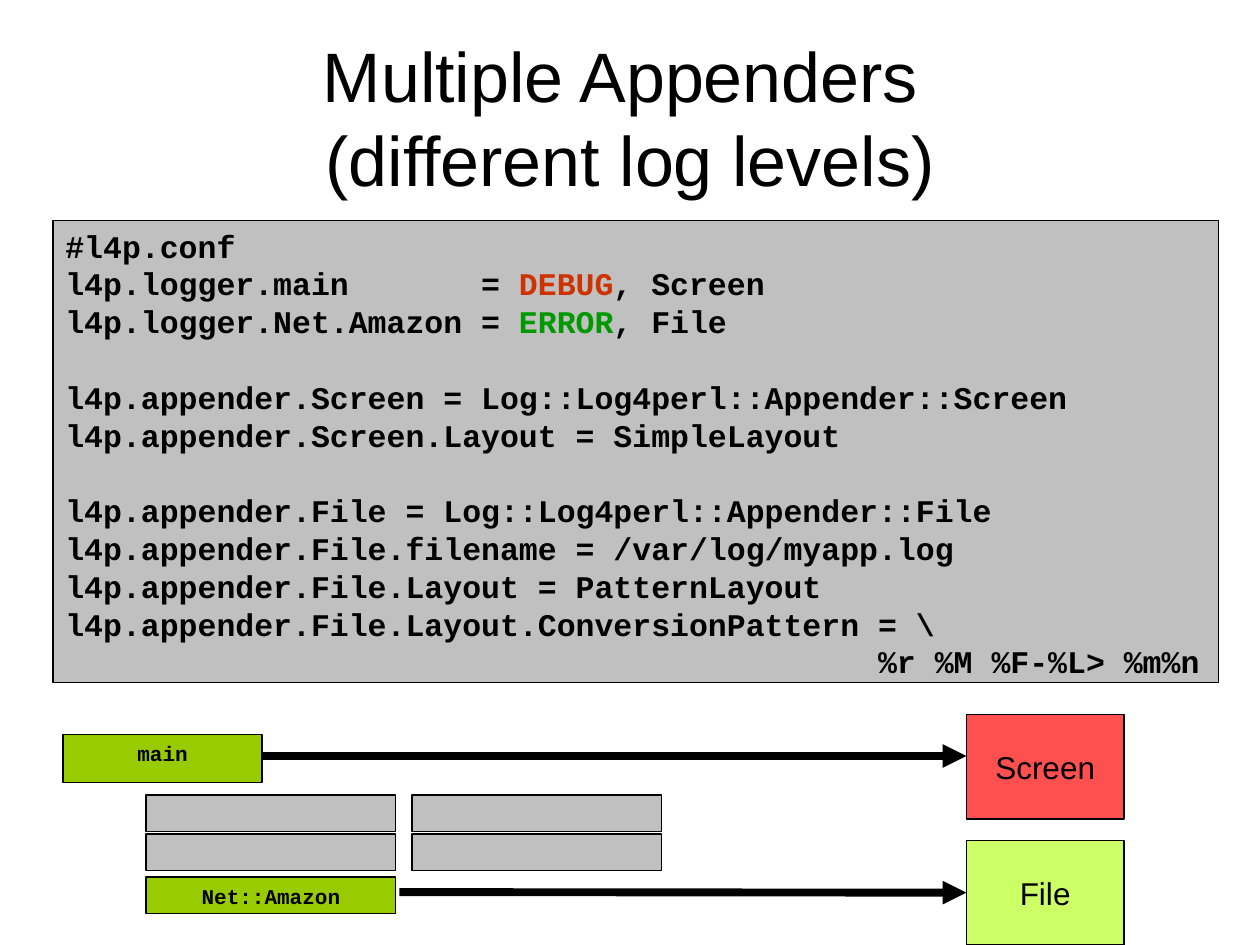
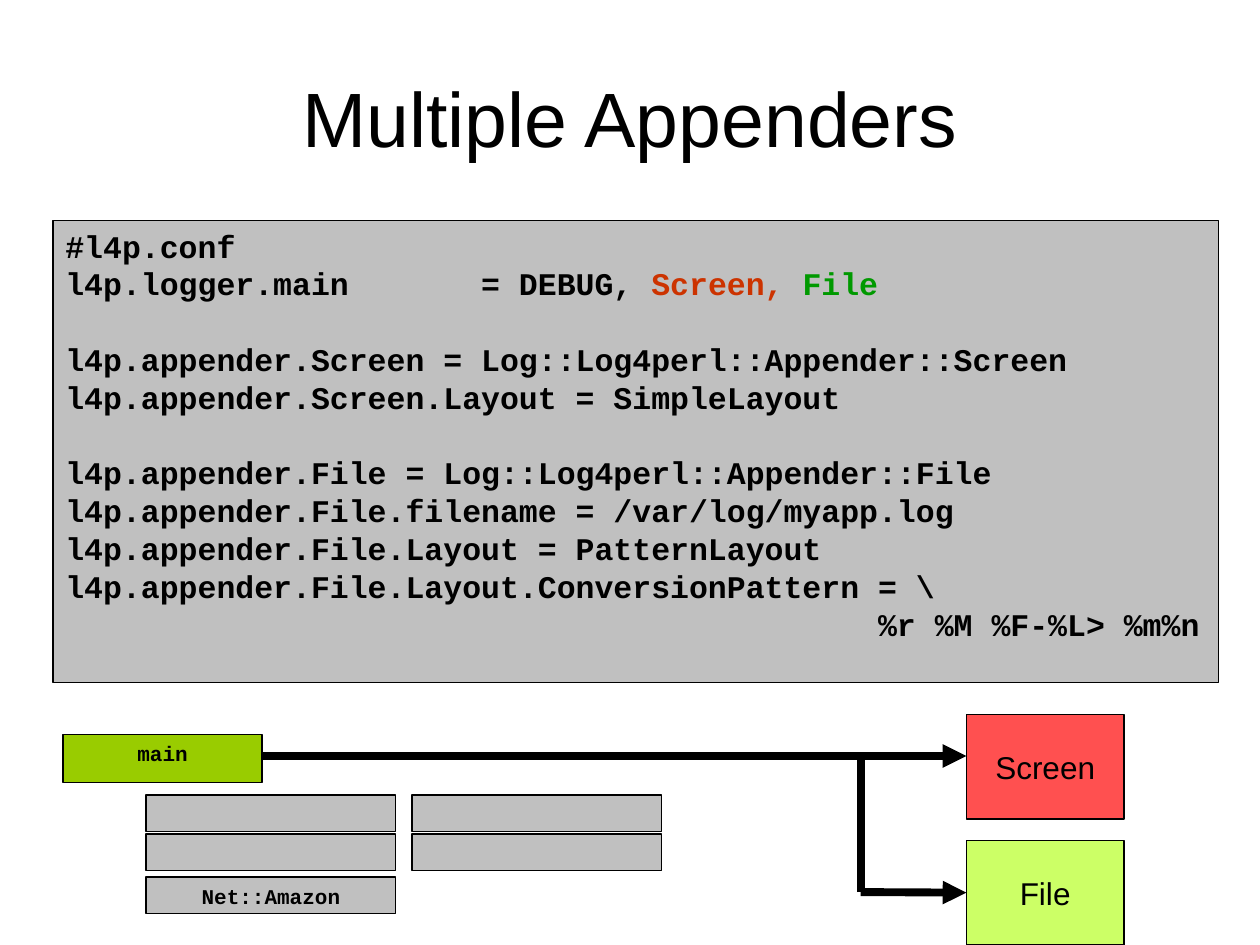
from dataclasses import dataclass
from itertools import product

from pptx import Presentation
from pptx.dml.color import RGBColor
from pptx.enum.shapes import MSO_CONNECTOR, MSO_SHAPE
from pptx.enum.text import MSO_ANCHOR, MSO_AUTO_SIZE, PP_ALIGN
from pptx.oxml.ns import qn
from pptx.util import Inches, Pt
from lxml.etree import SubElement


@dataclass(frozen=True)
class Theme:
    black: str = "000000"
    gray: str = "C0C0C0"
    green: str = "99CC00"
    red_text: str = "CC3300"
    green_text: str = "009900"
    screen: str = "FF5050"
    file: str = "CCFF66"
    sans: str = "Arial"
    mono: str = "Courier New"
    body_size: int = 18
    label_size: int = 12
    line_height: float = 1.2
    outline: float = 0.75
    arrow: float = 4.5


theme = Theme()
CODE = {"name": theme.mono, "size": Pt(theme.body_size), "bold": True}
LABEL = {"name": theme.mono, "size": Pt(theme.label_size), "bold": True}
APPENDER = {"name": theme.sans, "size": Pt(theme.body_size), "bold": False}


def write_text(frame, blocks, font_format, alignment):
    """Write blocks of lines, one line's height apart; a line is a list of (text, colour) runs or a string."""
    frame.word_wrap = True
    frame.auto_size = MSO_AUTO_SIZE.NONE
    line_height = Pt(font_format["size"].pt * theme.line_height)
    paragraph = None
    for block_index, block in enumerate(blocks):
        for line_index, line in enumerate(block):
            paragraph = frame.add_paragraph() if paragraph else frame.paragraphs[0]
            paragraph.alignment = alignment
            paragraph.line_spacing = line_height
            if block_index and not line_index:
                paragraph.space_before = line_height
            if isinstance(line, str):
                paragraph.text = line
                colors = [theme.black] * len(paragraph.runs)
            else:
                for text, _ in line:
                    paragraph.add_run().text = text
                colors = [color for _, color in line]
            for run, color in zip(paragraph.runs, colors):
                for name, value in font_format.items():
                    setattr(run.font, name, value)
                run.font.color.rgb = RGBColor.from_string(color)


def add_box(slide, place, fill, blocks=(), font_format=LABEL,
            alignment=PP_ALIGN.CENTER, anchor=MSO_ANCHOR.TOP):
    box = slide.shapes.add_shape(MSO_SHAPE.RECTANGLE, *map(Inches, place))
    box.shadow.inherit = False
    box.fill.solid()
    box.fill.fore_color.rgb = RGBColor.from_string(fill)
    box.line.color.rgb = RGBColor.from_string(theme.black)
    box.line.width = Pt(theme.outline)
    box.text_frame.vertical_anchor = anchor
    write_text(box.text_frame, blocks, font_format, alignment)
    return box


APPENDER_CODE = [
    [
        "l4p.appender.Screen = Log::Log4perl::Appender::Screen",
        "l4p.appender.Screen.Layout = SimpleLayout",
    ],
    [
        "l4p.appender.File = Log::Log4perl::Appender::File",
        "l4p.appender.File.filename = /var/log/myapp.log",
        "l4p.appender.File.Layout = PatternLayout",
        "l4p.appender.File.Layout.ConversionPattern = \\",
        "                                           %r %M %F-%L> %m%n",
    ],
]

MAIN_RIGHT, APPENDER_LEFT, BRANCH_X = 2.08, 7.67, 6.83
SCREEN_Y, FILE_Y = 6, 7.08
PACKAGE_LEFT, PACKAGE_STEP, PACKAGE_SIZE = 1.16, 2.11, (1.98, 0.29)

# Each connector: start, end, has an arrowhead, ends at the File box
SCREEN_ARROW = ((MAIN_RIGHT, SCREEN_Y), (APPENDER_LEFT, SCREEN_Y), True, False)

SLIDES = [
    {
        "title": "Multiple Appenders \v(different log levels)",
        "title_size": 40,
        "loggers": [
            "#l4p.conf",
            [("l4p.logger.main       = ", theme.black),
             ("DEBUG", theme.red_text), (", Screen", theme.black)],
            [("l4p.logger.Net.Amazon = ", theme.black),
             ("ERROR", theme.green_text), (", File", theme.black)],
        ],
        "package_fill": theme.green,
        "connectors": [
            SCREEN_ARROW,
            ((3.17, FILE_Y), (APPENDER_LEFT, FILE_Y), True, True),
        ],
    },
    {
        "title": "Multiple Appenders",
        "title_size": 44,
        "loggers": [
            "#l4p.conf",
            [("l4p.logger.main       = DEBUG, ", theme.black),
             ("Screen, ", theme.red_text), ("File", theme.green_text)],
        ],
        "package_fill": theme.gray,
        "connectors": [
            SCREEN_ARROW,
            ((BRANCH_X, FILE_Y), (APPENDER_LEFT, FILE_Y), True, True),
            ((BRANCH_X, FILE_Y), (BRANCH_X, SCREEN_Y), False, False),
        ],
    },
]

presentation = Presentation()
presentation.slide_width, presentation.slide_height = Inches(10), Inches(7.5)
title_only = presentation.slide_layouts[5]

for content in SLIDES:
    slide = presentation.slides.add_slide(title_only)
    title = slide.shapes.title
    position = {"left": 0.5, "top": 0.3, "width": 9, "height": 1.25}
    for name, value in position.items():
        setattr(title, name, Inches(value))
    title.text_frame.vertical_anchor = MSO_ANCHOR.MIDDLE
    title_format = {"name": theme.sans, "size": Pt(content["title_size"])}
    write_text(title.text_frame, [[content["title"]]], title_format, PP_ALIGN.CENTER)

    add_box(slide, (0.42, 1.75, 9.25, 3.67), theme.gray,
            [content["loggers"], *APPENDER_CODE], CODE, PP_ALIGN.LEFT)

    # Logger hierarchy
    for top, column in product((6.31, 6.62), range(2)):
        add_box(slide, (PACKAGE_LEFT + column * PACKAGE_STEP, top, *PACKAGE_SIZE), theme.gray)
    add_box(slide, (PACKAGE_LEFT, 6.96, *PACKAGE_SIZE), content["package_fill"], [["Net::Amazon"]])
    add_box(slide, (0.5, 5.83, 1.58, 0.38), theme.green, [["main"]])

    # Appenders
    for name, top, fill in (("Screen", 5.67, theme.screen), ("File", 6.67, theme.file)):
        appender_box = add_box(slide, (APPENDER_LEFT, top, 1.25, 0.83), fill, [[name]],
                               APPENDER, anchor=MSO_ANCHOR.MIDDLE)
    file_box = appender_box

    for start, end, has_arrowhead, ends_at_file in content["connectors"]:
        connector = slide.shapes.add_connector(
            MSO_CONNECTOR.STRAIGHT, *map(Inches, (*start, *end)))
        if ends_at_file:
            connector.end_connect(file_box, 1)
        connector.line.color.rgb = RGBColor.from_string(theme.black)
        connector.line.width = Pt(theme.arrow)
        if has_arrowhead:
            SubElement(connector.line._get_or_add_ln(), qn("a:tailEnd"), type="triangle")
        SubElement(connector._element.spPr, qn("a:effectLst"))

presentation.save("out.pptx")
